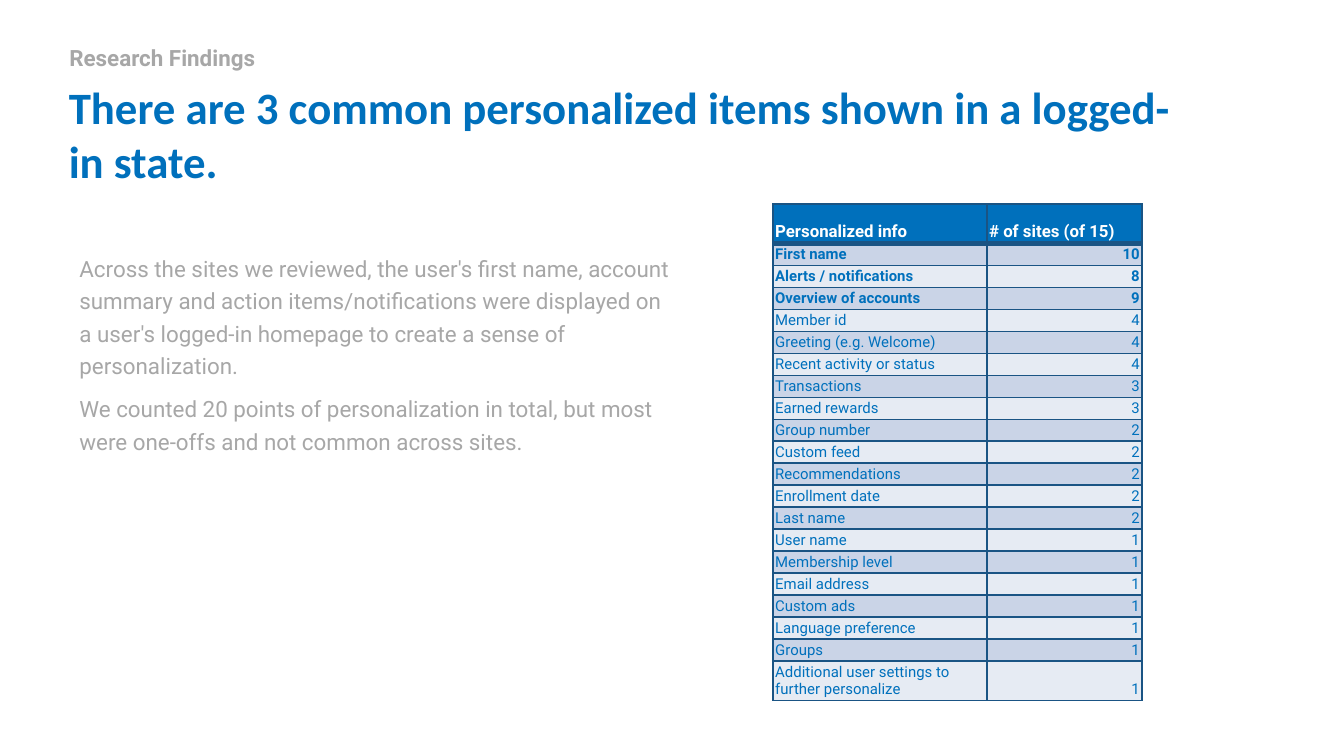
import pptx
import pptx.dml.color
import pptx.enum.text
import pptx.oxml
import pptx.oxml.ns
import pptx.util
from pptx.util import Cm

BLUE, GREY, WHITE, BORDER = "0070BC", "A7A7A7", "FFFFFF", "1A5484"
BANDS = ("CAD4E7", "E6EBF3")
ANCHOR = pptx.enum.text.MSO_ANCHOR
ALIGN = pptx.enum.text.PP_ALIGN

HEADINGS = ("Personalized info", "# of sites (of 15)")
SITE_COUNTS = [
    ("First name", 10), ("Alerts / notifications", 8),
    ("Overview of accounts", 9), ("Member id", 4),
    ("Greeting (e.g. Welcome)", 4), ("Recent activity or status", 4),
    ("Transactions", 3), ("Earned rewards", 3), ("Group number", 2),
    ("Custom feed", 2), ("Recommendations", 2), ("Enrollment date", 2),
    ("Last name", 2), ("User name", 1), ("Membership level", 1),
    ("Email address", 1), ("Custom ads", 1), ("Language preference", 1),
    ("Groups", 1), ("Additional user settings to further personalize", 1),
]
COMMON_ITEMS = 3  # rows set in bold


def color(hex_value):
    return pptx.dml.color.RGBColor.from_string(hex_value)


def set_attributes(target, values):
    for name, value in values.items():
        setattr(target, name, value)


def margins(size):
    return {f"margin_{side}": Cm(size) for side in ("left", "right", "top", "bottom")}


def format_font(paragraph, size, hex_color, bold, name="Roboto"):
    set_attributes(paragraph.font, {"name": name, "size": pptx.util.Pt(size), "bold": bold})
    paragraph.font.color.rgb = color(hex_color)


def fill_placeholder(placeholder, box, lines, anchor, font, line_spacing=1.0):
    """Move a placeholder into its box and write unbulleted paragraphs."""
    set_attributes(placeholder, dict(zip(("left", "top", "width", "height"), map(Cm, box))))
    frame = placeholder.text_frame
    set_attributes(frame, {
        "word_wrap": True, "vertical_anchor": anchor,
        "auto_size": pptx.enum.text.MSO_AUTO_SIZE.NONE, **margins(0.1)})
    frame.text = "\n".join(lines)
    for index, paragraph in enumerate(frame.paragraphs):
        properties = paragraph._p.get_or_add_pPr()
        properties.set("marL", "0")
        properties.set("indent", "0")
        pptx.oxml.ns.qn("a:buNone")
        properties.append(pptx.oxml.parse_xml(
            f'<a:buNone {pptx.oxml.ns.nsdecls("a")}/>'))
        set_attributes(paragraph, {
            "alignment": ALIGN.LEFT, "line_spacing": line_spacing,
            "space_before": pptx.util.Pt(6 if index else 0),
            "space_after": pptx.util.Pt(0)})
        format_font(paragraph, **font)


def add_borders(cell, top=1, bottom=1):
    """Outline a cell; widths are in points."""
    properties = cell._tc.get_or_add_tcPr()
    widths = {"L": 1, "R": 1, "T": top, "B": bottom}
    for index, (side, width) in enumerate(widths.items()):
        properties.insert(index, pptx.oxml.parse_xml(
            f'<a:ln{side} {pptx.oxml.ns.nsdecls("a")} w="{pptx.util.Pt(width)}">'
            f'<a:solidFill><a:srgbClr val="{BORDER}"/></a:solidFill></a:ln{side}>'))


def write_cell(cell, text, fill, alignment, font):
    cell.fill.solid()
    cell.fill.fore_color.rgb = color(fill)
    set_attributes(cell, {"text": text, "vertical_anchor": ANCHOR.BOTTOM, **margins(0.04)})
    paragraph = cell.text_frame.paragraphs[0]
    paragraph.alignment = alignment
    format_font(paragraph, **font)


def add_site_table(slide, left, top, width, height):
    """Header and two-line last row are tall; the rest share what is left."""
    table = slide.shapes.add_table(
        len(SITE_COUNTS) + 1, 2, Cm(left), Cm(top), Cm(width), Cm(height)).table
    item_share = 0.58
    table.columns[0].width = Cm(width * item_share)
    table.columns[1].width = Cm(width * (1 - item_share))

    tall = 0.75
    row_height = (height - 2 * tall) / (len(SITE_COUNTS) - 1)
    last = len(SITE_COUNTS)
    for index, row in enumerate(table.rows):
        row.height = Cm(tall if index in (0, last) else row_height)

    # Header
    for column, heading in enumerate(HEADINGS):
        cell = table.cell(0, column)
        write_cell(cell, heading, BLUE, ALIGN.LEFT,
                   {"size": 9, "hex_color": WHITE, "bold": True})
        add_borders(cell, bottom=3)

    # Banded rows
    for index, (item, count) in enumerate(SITE_COUNTS):
        font = {"size": 8, "hex_color": BLUE, "bold": index < COMMON_ITEMS}
        for column, (text, alignment) in enumerate(
                ((item, ALIGN.LEFT), (str(count), ALIGN.RIGHT))):
            cell = table.cell(index + 1, column)
            write_cell(cell, text, BANDS[index % 2], alignment, font)
            add_borders(cell, top=1 if index else 3)


def build_findings_slide(presentation):
    slide = presentation.slides.add_slide(presentation.slide_layouts[4])
    title, section, findings, *unused = slide.placeholders
    for placeholder in unused:
        placeholder.element.getparent().remove(placeholder.element)

    # Headline and section label
    fill_placeholder(
        title, (1.2, 1.4, 21.4, 1.93),
        ["There are 3 common personalized items shown in a logged-in state."],
        ANCHOR.TOP, {"size": 24, "hex_color": BLUE, "bold": True, "name": "Calibri"})
    fill_placeholder(
        section, (1.21, 0.67, 14.25, 0.73), ["Research Findings"],
        ANCHOR.MIDDLE, {"size": 12, "hex_color": GREY, "bold": True}, 1.2)

    # Findings
    fill_placeholder(
        findings, (1.4, 4.62, 11.48, 5.38),
        ["Across the sites we reviewed, the user's first name, account summary and "
         "action items/notifications were displayed on a user's logged-in homepage "
         "to create a sense of personalization.",
         "We counted 20 points of personalization in total, but most were one-offs "
         "and not common across sites."],
        ANCHOR.TOP, {"size": 12, "hex_color": GREY, "bold": False}, 1.2)

    add_site_table(slide, 14.61, 3.85, 6.97, 9.4)


def main():
    presentation = pptx.Presentation()
    set_attributes(presentation, {"slide_width": Cm(25.4), "slide_height": Cm(14.28)})
    build_findings_slide(presentation)
    presentation.save("out.pptx")


if __name__ == "__main__":
    main()
